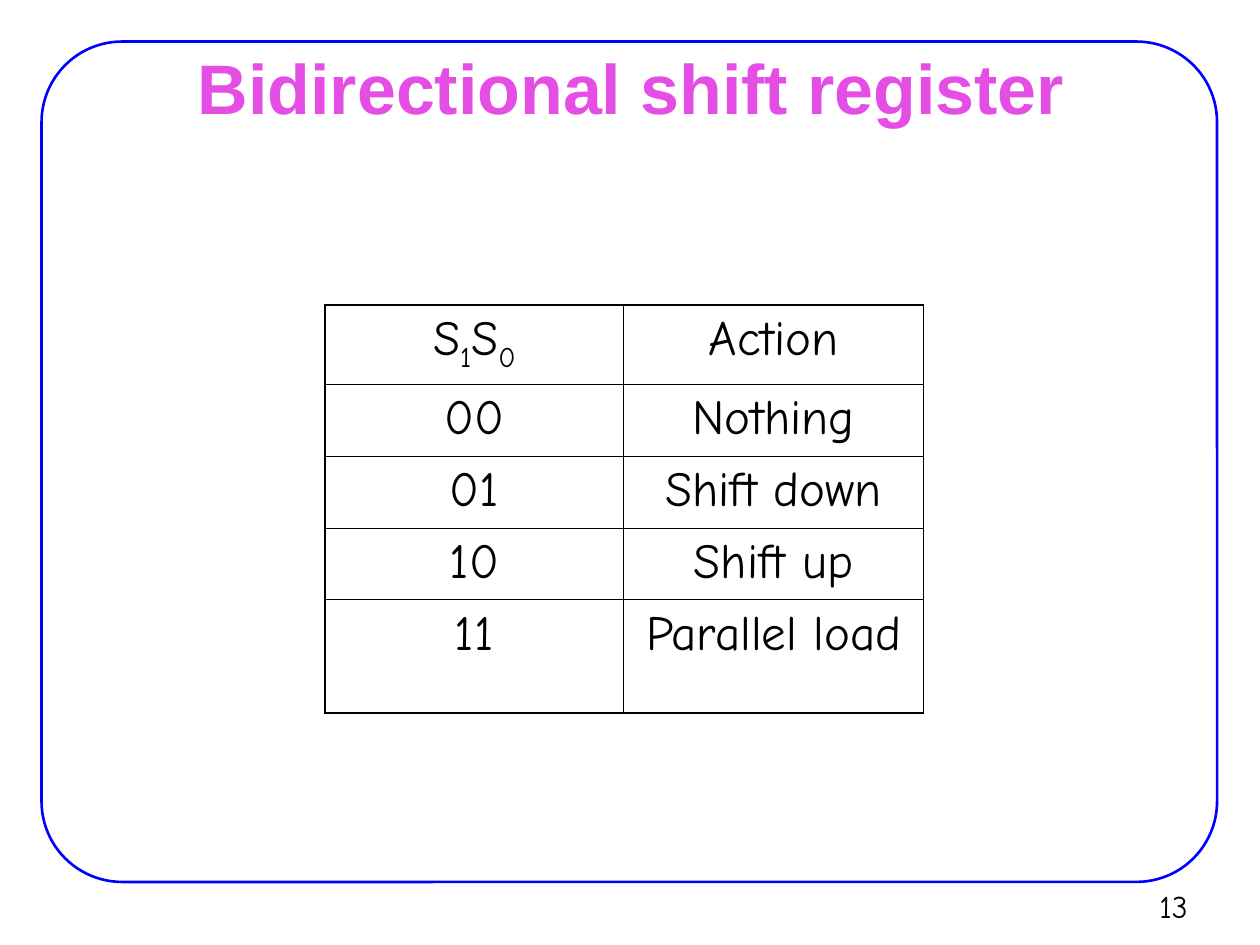
from dataclasses import dataclass

from lxml.etree import SubElement
from pptx import Presentation
from pptx.dml.color import RGBColor
from pptx.enum.shapes import MSO_SHAPE
from pptx.enum.text import MSO_ANCHOR, MSO_AUTO_SIZE, PP_ALIGN
from pptx.oxml.ns import qn
from pptx.util import Inches, Pt

BLACK = "000000"
BODY_FONT = "Comic Neue"
THIN, THICK = 0.45, 1.08


@dataclass
class Span:
    text: str
    subscript: bool = False


@dataclass
class Row:
    height: float
    select: list[Span]
    action: list[Span]


ROWS = [
    Row(0.63, [Span("S"), Span("1", True), Span("S"), Span("0", True)], [Span("Action")]),
    Row(0.57, [Span("00")], [Span("Nothing")]),
    Row(0.57, [Span("01")], [Span("Shift down")]),
    Row(0.57, [Span("10")], [Span("Shift up")]),
    Row(0.9, [Span("11")], [Span("Parallel load")]),
]
COLUMN_WIDTHS = [2.37, 2.38]


def color(value: str) -> RGBColor:
    return RGBColor.from_string(value)


def place(box, left: float, top: float, width: float, height: float) -> None:
    box.left, box.top = Inches(left), Inches(top)
    box.width, box.height = Inches(width), Inches(height)


def add_span(para, span: Span, size: float, font: str, shade: str, bold: bool = False) -> None:
    run = para.add_run()
    run.text = span.text
    run.font.size = Pt(size)
    run.font.name = font
    run.font.bold = bold
    run.font.color.rgb = color(shade)
    if span.subscript:
        run.font._element.set("baseline", "-25000")


def set_borders(cell, widths: dict[str, float]) -> None:
    properties = cell._tc.get_or_add_tcPr()
    for position, (side, width) in enumerate(widths.items()):
        line = SubElement(properties, qn(f"a:ln{side}"), w=str(Pt(width)))
        fill = SubElement(line, qn("a:solidFill"))
        SubElement(fill, qn("a:srgbClr"), val=BLACK)
        # Borders come before the cell fill
        properties.insert(position, line)


def add_frame(page) -> None:
    frame = page.shapes.add_shape(
        MSO_SHAPE.ROUNDED_RECTANGLE, Inches(0.33), Inches(0.33), Inches(9.33), Inches(6.67)
    )
    frame.adjustments[0] = 0.096
    frame.shadow.inherit = False
    frame.fill.background()
    frame.line.color.rgb = color("0000FF")
    frame.line.width = Pt(1.5)
    # Send the frame behind the title
    page.shapes._spTree.insert(2, frame._element)


def add_title(page, text: str) -> None:
    title = page.shapes.title
    place(title, 0.76, 0.44, 8.5, 0.49)
    box = title.text_frame
    box.word_wrap = True
    box.auto_size = MSO_AUTO_SIZE.NONE
    box.vertical_anchor = MSO_ANCHOR.MIDDLE
    box.margin_left = box.margin_right = Inches(0.11)
    box.margin_top = box.margin_bottom = Inches(0.06)
    para = box.paragraphs[0]
    para.alignment = PP_ALIGN.CENTER
    add_span(para, Span(text), 40, "Arial", "E44EE4", bold=True)


def add_action_table(page) -> None:
    height = sum(row.height for row in ROWS)
    shape = page.shapes.add_table(
        len(ROWS), len(COLUMN_WIDTHS), Inches(2.58), Inches(2.42),
        Inches(sum(COLUMN_WIDTHS)), Inches(height),
    )
    table = shape.table
    table.first_row = table.horz_banding = False
    for column, width in zip(table.columns, COLUMN_WIDTHS):
        column.width = Inches(width)
    last_row, last_column = len(ROWS) - 1, len(COLUMN_WIDTHS) - 1

    for i, row in enumerate(ROWS):
        table.rows[i].height = Inches(row.height)
        for j, spans in enumerate((row.select, row.action)):
            cell = table.cell(i, j)
            cell.fill.background()
            cell.margin_left = cell.margin_right = Inches(0.1)
            cell.margin_top = cell.margin_bottom = Inches(0.05)
            para = cell.text_frame.paragraphs[0]
            para.alignment = PP_ALIGN.CENTER
            for span in spans:
                add_span(para, span, 28, BODY_FONT, BLACK)
            # Outer edges are thicker than inner ones
            set_borders(cell, {
                "L": THICK if j == 0 else THIN,
                "R": THICK if j == last_column else THIN,
                "T": THICK if i == 0 else THIN,
                "B": THICK if i == last_row else THIN,
            })


def add_page_number(page, text: str) -> None:
    number = page.shapes.add_textbox(Inches(9.02), Inches(6.99), Inches(0.61), Inches(0.37))
    number.text_frame.word_wrap = True
    add_span(number.text_frame.paragraphs[0], Span(text), 18, BODY_FONT, BLACK)


def main() -> None:
    deck = Presentation()
    deck.slide_width, deck.slide_height = Inches(10), Inches(7.5)
    page = deck.slides.add_slide(deck.slide_layouts[5])
    add_frame(page)
    add_title(page, "Bidirectional shift register")
    add_action_table(page)
    add_page_number(page, " 13")
    deck.save("out.pptx")


if __name__ == "__main__":
    main()
